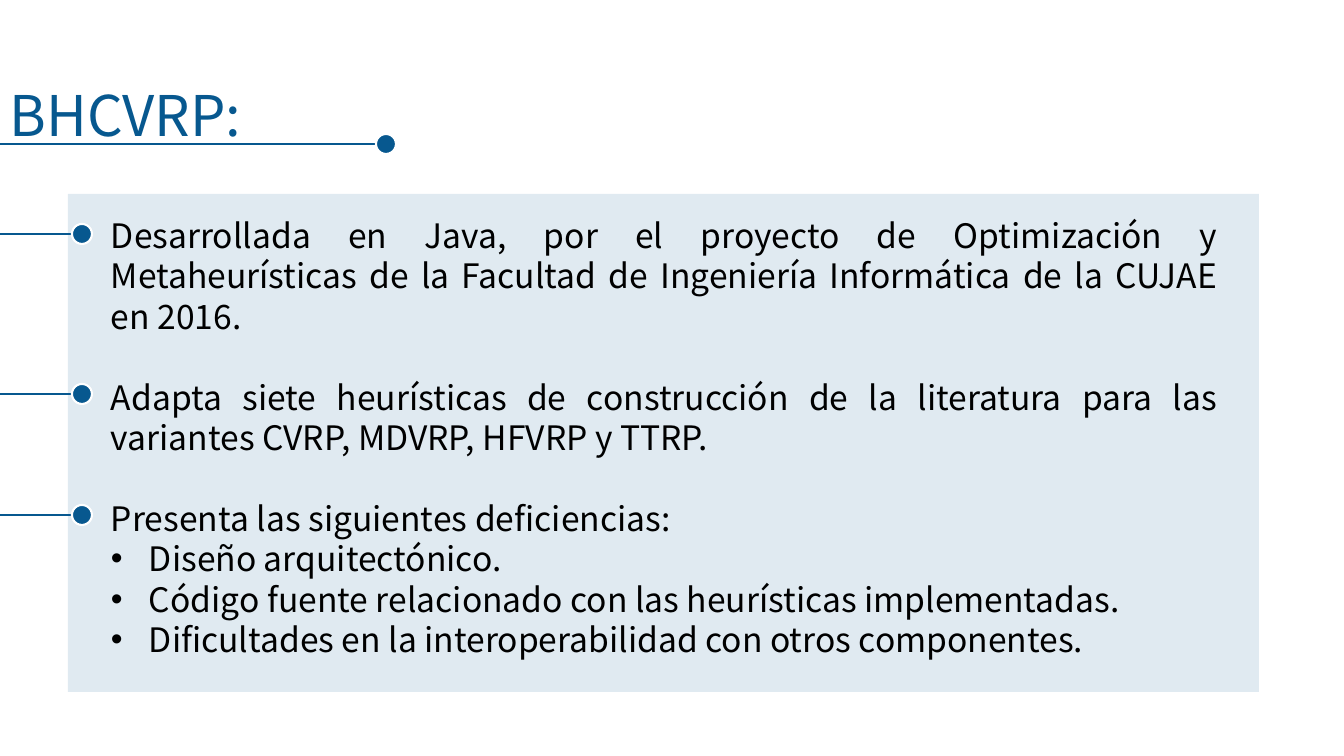
"""Build the BHCVRP slide: a title and three marked points on a tinted panel."""
from dataclasses import dataclass

from lxml.etree import SubElement
from pptx import Presentation
from pptx.dml.color import RGBColor
from pptx.enum.shapes import MSO_CONNECTOR, MSO_SHAPE
from pptx.enum.text import MSO_AUTO_SIZE, PP_ALIGN
from pptx.oxml.ns import qn
from pptx.util import Pt

TITLE = "BHCVRP:"
POINTS = [
    ("Desarrollada en Java, por el proyecto de Optimización y Metaheurísticas "
     "de la Facultad de Ingeniería Informática de la CUJAE en 2016.", []),
    ("Adapta siete heurísticas de construcción de la literatura para las "
     "variantes CVRP, MDVRP, HFVRP y TTRP.", []),
    ("Presenta las siguientes deficiencias:", [
        "Diseño arquitectónico.",
        "Código fuente relacionado con las heurísticas implementadas.",
        "Dificultades en la interoperabilidad con otros componentes.",
    ]),
]

SLIDE_SIZE = (1344, 756)
PANEL_BOX = (68, 194, 1191, 498)
TITLE_BOX = (0, 76, 267, 78)
POINTS_BOX = (101, 210, 1126, 458)
TITLE_MARKER = (386, 144)
POINT_MARKERS = [(82, 234), (82, 394), (82, 515)]
DOT = 20
INDENT = 38


@dataclass(frozen=True)
class Theme:
    font: str = "Noto Sans CJK JP"
    accent: RGBColor = RGBColor(0x07, 0x58, 0x8F)
    ink: RGBColor = RGBColor(0, 0, 0)
    paper: RGBColor = RGBColor(255, 255, 255)
    panel_opacity: int = 12
    title_size: Pt = Pt(40)
    body_size: Pt = Pt(24)
    point_gap: Pt = Pt(29)
    stroke: Pt = Pt(1.5)


THEME = Theme()


def px(length):
    return round(length * 914400 / 100.8)


def place(box):
    return [px(length) for length in box]


def add_filled(shapes, kind, box):
    figure = shapes.add_shape(kind, *place(box))
    figure.shadow.inherit = False
    figure.fill.solid()
    figure.fill.fore_color.rgb = THEME.accent
    return figure


def add_panel(shapes):
    panel = add_filled(shapes, MSO_SHAPE.RECTANGLE, PANEL_BOX)
    panel.line.fill.background()
    tint = panel.fill._xPr.find(qn("a:solidFill"))[0]
    SubElement(tint, qn("a:alpha"), val=str(THEME.panel_opacity * 1000))


def add_marker(shapes, center):
    x, y = center
    stem = shapes.add_connector(MSO_CONNECTOR.STRAIGHT, *place((0, y, x - 2, y)))
    stem.line.color.rgb = THEME.accent
    stem.line.width = THEME.stroke
    SubElement(stem._element.spPr, qn("a:effectLst"))
    dot = add_filled(shapes, MSO_SHAPE.OVAL, (x - DOT / 2, y - DOT / 2, DOT, DOT))
    dot.line.color.rgb = THEME.paper
    dot.line.width = THEME.stroke


def add_frame(shapes, box, wrap):
    frame = shapes.add_textbox(*place(box)).text_frame
    frame.word_wrap = wrap
    frame.auto_size = MSO_AUTO_SIZE.SHAPE_TO_FIT_TEXT
    return frame


def write(paragraph, text, size, color):
    paragraph.text = text
    paragraph.font.name = THEME.font
    paragraph.font.size = size
    paragraph.font.color.rgb = color


def add_bullet(paragraph):
    properties = paragraph._p.get_or_add_pPr()
    properties.set("marL", str(px(INDENT)))
    properties.set("indent", str(-px(INDENT)))
    bullet_font = properties.makeelement(qn("a:buFont"), {"typeface": "Arial"})
    bullet = properties.makeelement(qn("a:buChar"), {"char": "•"})
    properties.find(qn("a:defRPr")).addprevious(bullet_font)
    bullet_font.addnext(bullet)


def add_points(shapes):
    frame = add_frame(shapes, POINTS_BOX, True)
    for number, (point, details) in enumerate(POINTS):
        for level, text in enumerate([point, *details]):
            first = number == level == 0
            paragraph = frame.paragraphs[0] if first else frame.add_paragraph()
            write(paragraph, text, THEME.body_size, THEME.ink)
            paragraph.alignment = PP_ALIGN.JUSTIFY
            if level:
                add_bullet(paragraph)
            elif number:
                paragraph.space_before = THEME.point_gap


def main():
    deck = Presentation()
    deck.slide_width, deck.slide_height = place(SLIDE_SIZE)
    shapes = deck.slides.add_slide(deck.slide_layouts[6]).shapes
    add_panel(shapes)
    title = add_frame(shapes, TITLE_BOX, False)
    write(title.paragraphs[0], TITLE, THEME.title_size, THEME.accent)
    add_marker(shapes, TITLE_MARKER)
    add_points(shapes)
    for center in POINT_MARKERS:
        add_marker(shapes.add_group_shape().shapes, center)
    deck.save("out.pptx")


if __name__ == "__main__":
    main()
